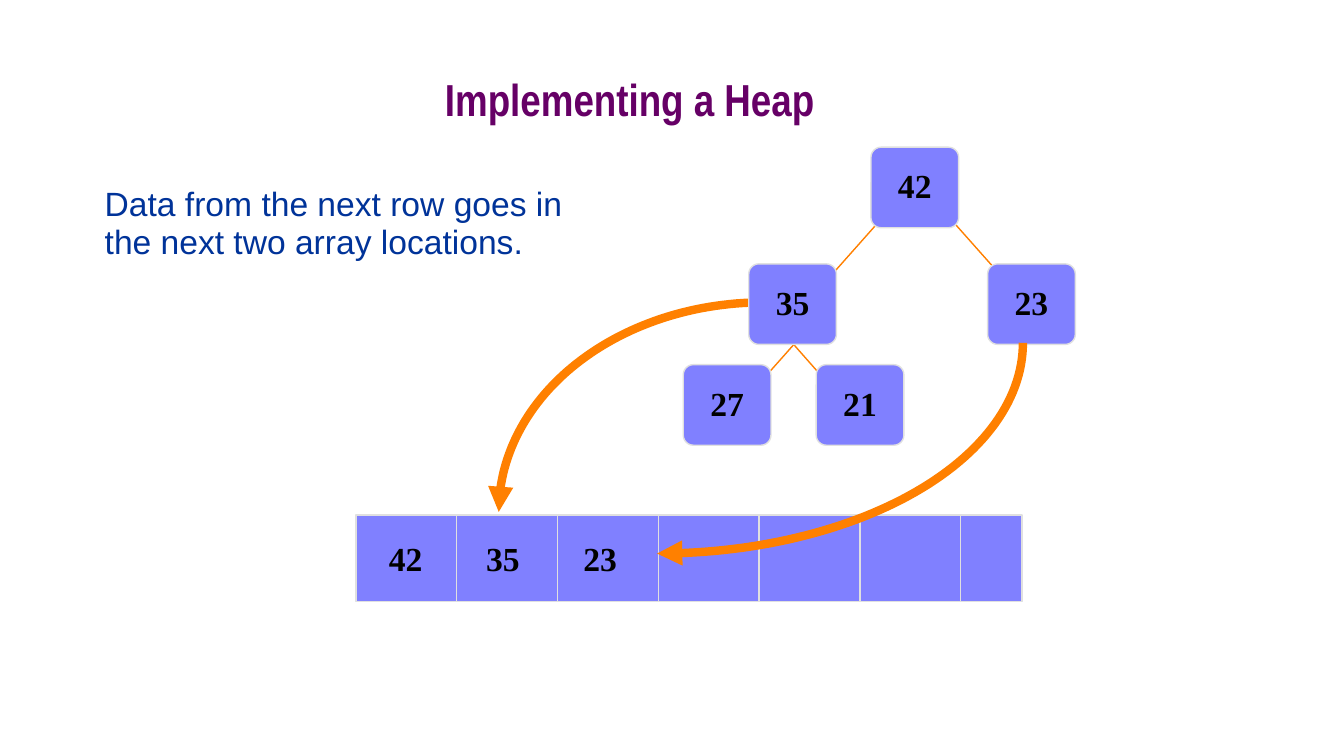
from math import cos, pi, sin

from lxml.etree import SubElement
from pptx import Presentation
from pptx.dml.color import RGBColor
from pptx.enum.shapes import MSO_CONNECTOR, MSO_SHAPE
from pptx.enum.text import MSO_ANCHOR, PP_ALIGN
from pptx.oxml.ns import qn
from pptx.util import Cm, Pt

VIOLET, PALE, ORANGE = "8080FF", "E0E0E0", "FF8000"
NODE_WIDTH, NODE_HEIGHT = 2.21, 2.03
ARRAY_LEFT, ARRAY_TOP, ARRAY_WIDTH, ARRAY_HEIGHT = 8.97, 12.98, 16.79, 2.18
CELL_WIDTH = 2.54
LABEL_LEFT, LABEL_STEP = 9.55, 2.45

NODES = [
    ("42", 21.95, 3.71),
    ("35", 18.87, 6.65),
    ("23", 24.89, 6.65),
    ("27", 17.22, 9.19),
    ("21", 20.57, 9.19),
]
EDGES = [
    (22.1, 5.64, 20.52, 7.42),
    (23.95, 5.51, 25.53, 7.29),
    (20.45, 8.18, 18.87, 9.96),
    (19.56, 8.18, 21.13, 9.96),
]


def colour(value):
    return RGBColor.from_string(value)


def set_line(line, value, width):
    line.color.rgb = colour(value)
    line.width = Pt(width)


def write(shape, text, size, font, value, bold=True, align=PP_ALIGN.LEFT,
          anchor=MSO_ANCHOR.TOP, wrap=True):
    frame = shape.text_frame
    frame.word_wrap = wrap
    frame.vertical_anchor = anchor
    paragraph = frame.paragraphs[0]
    paragraph.text = text
    paragraph.alignment = align
    paragraph.line_spacing = 0.95
    paragraph.font.size = Pt(size)
    paragraph.font.name = font
    paragraph.font.bold = bold
    paragraph.font.color.rgb = colour(value)


def add_text(slide, left, top, width, height, *content, **style):
    box = slide.shapes.add_textbox(Cm(left), Cm(top), Cm(width), Cm(height))
    write(box, *content, **style)


def add_box(slide, kind, left, top, width, height):
    shape = slide.shapes.add_shape(kind, Cm(left), Cm(top), Cm(width), Cm(height))
    shape.shadow.inherit = False
    shape.fill.solid()
    shape.fill.fore_color.rgb = colour(VIOLET)
    set_line(shape.line, PALE, 1)
    return shape


def add_node(slide, text, left, top):
    node = add_box(slide, MSO_SHAPE.ROUNDED_RECTANGLE, left, top, NODE_WIDTH, NODE_HEIGHT)
    node.adjustments[0] = 0.126
    write(node, text, 24, "Times New Roman", "000000",
          align=PP_ALIGN.CENTER, anchor=MSO_ANCHOR.MIDDLE)


def add_line(slide, x1, y1, x2, y2, value):
    line = slide.shapes.add_connector(MSO_CONNECTOR.STRAIGHT, Cm(x1), Cm(y1), Cm(x2), Cm(y2))
    set_line(line.line, value, 1)
    SubElement(line._element.spPr, qn("a:effectLst"))


def add_arc_arrow(slide, centre, radii, start, end, steps=60):
    """Draw part of an ellipse from one angle to another, with an arrowhead at the end."""
    angles = [start + (end - start) * step / steps for step in range(steps + 1)]
    points = [(Cm(centre[0] + radii[0] * cos(angle)), Cm(centre[1] + radii[1] * sin(angle)))
              for angle in angles]
    builder = slide.shapes.build_freeform(*points[0])
    builder.add_line_segments(points[1:], close=False)
    arc = builder.convert_to_shape()
    arc.shadow.inherit = False
    arc.fill.background()
    set_line(arc.line, ORANGE, 6)
    SubElement(arc.line._get_or_add_ln(), qn("a:tailEnd"), type="triangle")


def add_array(slide, values):
    add_box(slide, MSO_SHAPE.RECTANGLE, ARRAY_LEFT, ARRAY_TOP, ARRAY_WIDTH, ARRAY_HEIGHT)
    for index in range(1, 7):
        x = ARRAY_LEFT + index * CELL_WIDTH
        add_line(slide, x, ARRAY_TOP, x, ARRAY_TOP + ARRAY_HEIGHT, PALE)
    for index, value in enumerate(values):
        add_text(slide, LABEL_LEFT + index * LABEL_STEP, 13.51, 1.35, 1.27,
                 value, 24, "Times New Roman", "000000", wrap=False)


def main():
    presentation = Presentation()
    presentation.slide_width = Cm(33.87)
    presentation.slide_height = Cm(19.05)
    slide = presentation.slides.add_slide(presentation.slide_layouts[6])

    add_arc_arrow(slide, (19.25, 12.9), (6.68, 5.28), 1.5 * pi, pi)
    add_text(slide, 5.08, 0.97, 21.59, 3.18, "Implementing a Heap", 32, "Arial Narrow",
             "660066", align=PP_ALIGN.CENTER, anchor=MSO_ANCHOR.MIDDLE)
    add_text(slide, 2.39, 4.55, 12.83, 3.63,
             "Data from the next row goes in the next two array locations.",
             24, "Arial", "003399", bold=False)
    add_array(slide, ["42", "35", "23"])
    for edge in EDGES:
        add_line(slide, *edge, ORANGE)
    for node in NODES:
        add_node(slide, *node)
    add_arc_arrow(slide, (16.56, 8.64), (9.22, 5.31), 0, pi / 2)

    presentation.save("out.pptx")


if __name__ == "__main__":
    main()
